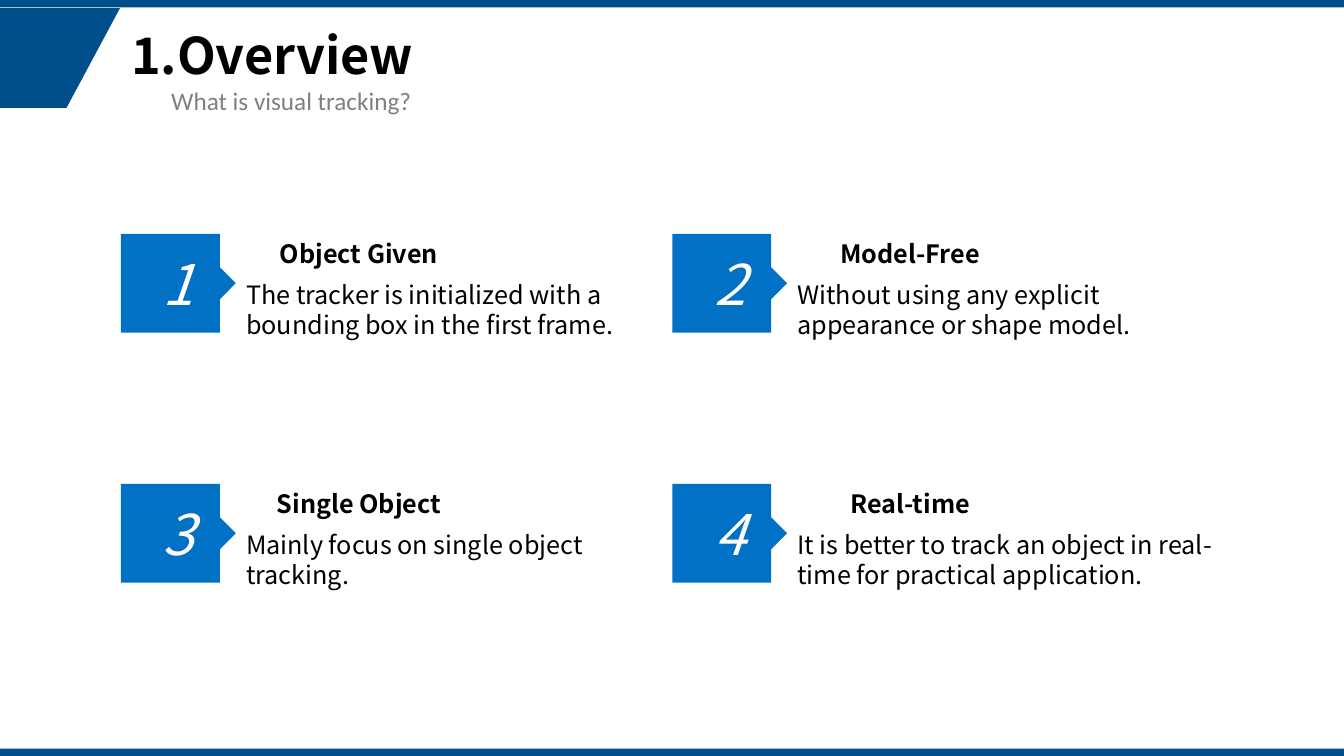
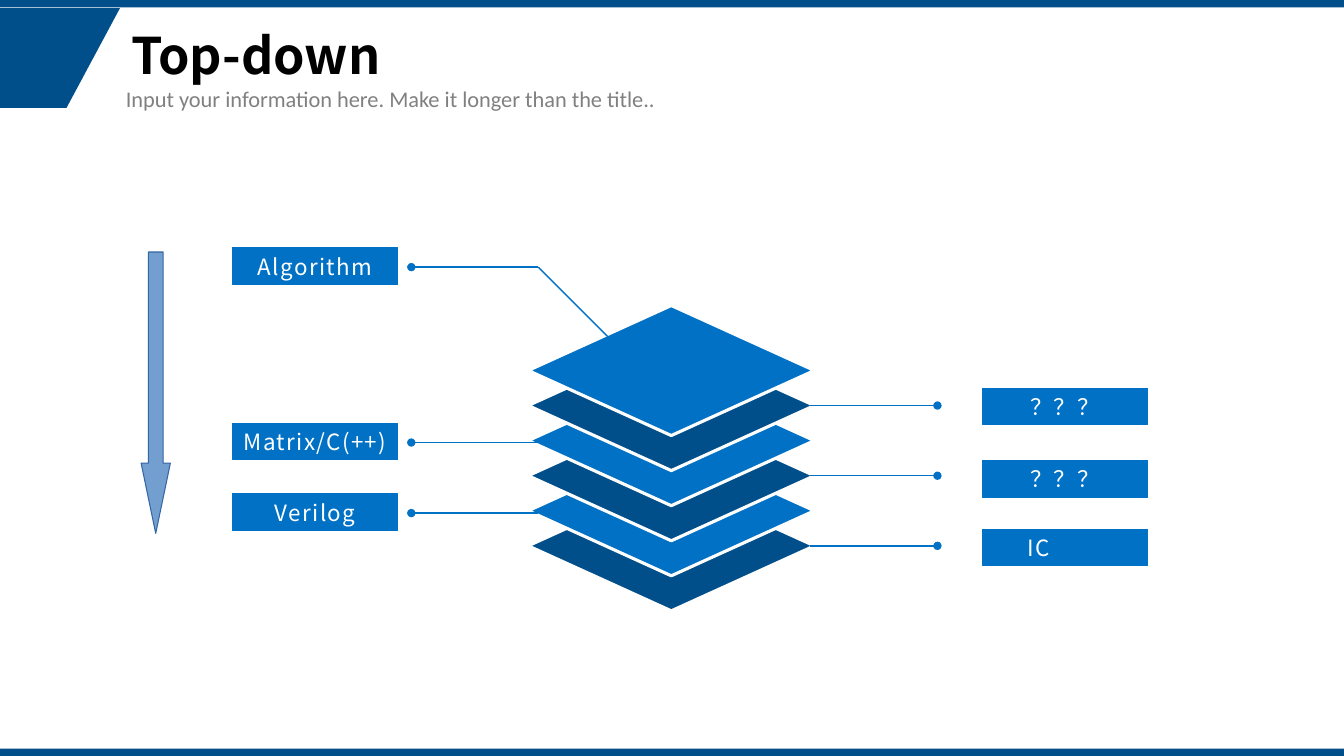
from pptx import Presentation
from pptx.dml.color import RGBColor
from pptx.enum.shapes import MSO_CONNECTOR, MSO_SHAPE
from pptx.enum.text import MSO_ANCHOR, PP_ALIGN
from pptx.oxml.ns import qn
from pptx.util import Pt
from lxml import etree

RECTANGLE, DIAMOND = MSO_SHAPE.RECTANGLE, MSO_SHAPE.FLOWCHART_DECISION
DOWN_ARROW, STRAIGHT = MSO_SHAPE.DOWN_ARROW, MSO_CONNECTOR.STRAIGHT
TOP, MIDDLE = MSO_ANCHOR.TOP, MSO_ANCHOR.MIDDLE
LEFT, CENTER = PP_ALIGN.LEFT, PP_ALIGN.CENTER

# Content
OVERVIEW = {"title": "1.Overview", "subtitle": "What is visual tracking?",
            "subtitle_left": 115.2, "subtitle_size": 18}
TOP_DOWN = {"title": "Top-down",
            "subtitle": "Input your information here. Make it longer than the title..",
            "subtitle_left": 82.8, "subtitle_size": 16}
FEATURES = [
    ("Object Given", "The tracker is initialized with a bounding box in the first frame."),
    ("Model-Free", "Without using any explicit appearance or shape model."),
    ("Single Object", "Mainly focus on single object tracking."),
    ("Real-time", "It is better to track an object in real-time for practical application."),
]
# Label, box top, line height on the page
LEFT_LABELS = [("Algorithm", 177.1, 190.8), ("Matrix/C(++)", 302.4, 316.1),
               ("Verilog", 352.8, 366.5)]
# Label, box top, layer it belongs to, text indent (None centres the text)
RIGHT_LABELS = [("？？？", 277.2, 1, None), ("？？？", 329, 3, None), ("IC", 378, 5, 32)]

# Shared style
COLORS = {"dark": "004F8A", "blue": "0171C5", "white": "FFFFFF", "black": "000000",
          "grey": "808080", "arrow": "729FCF", "arrow_line": "3465A4"}
SANS, LATIN = "Noto Sans CJK SC", "Calibri"
WIDTH, HEIGHT, BAND = 960, 540, 5.3
TITLE = {"name": SANS, "size": Pt(36), "bold": True}
BADGE = {"name": SANS, "size": Pt(40), "italic": True}
HEADING = {"name": SANS, "size": Pt(18), "bold": True}
BODY = {"name": SANS, "size": Pt(18), "bold": False}
LABEL = {"name": SANS, "size": Pt(16), "bold": False}

# Geometry
FEATURE_LEFTS, FEATURE_TOPS = (86.4, 480.2), (167, 345.6)
BADGE_OUTLINE = [(0, 0), (70.6, 0), (70.6, 23.8), (82, 35.3), (70.6, 46.8),
                 (70.6, 70.6), (0, 70.6)]
CORNER_OUTLINE = [(0, 0), (85.7, 0), (47.5, 71.3), (0, 71.3)]
LAYER_LEFT, LAYER_TOP, LAYER_STEP = 377.3, 218.2, 25.05
LAYER_WIDTH, LAYER_HEIGHT, LAYER_COUNT = 204.5, 92.9, 6
LABEL_WIDTH, LABEL_HEIGHT = 117.6, 26.2
LEFT_LABEL, RIGHT_LABEL = 166.3, 702
LEFT_DOT, LEFT_END, SLANT = 293.8, 384.5, 72
RIGHT_END, RIGHT_DOT = 578.9, 669.6


def rgb(color):
    return RGBColor.from_string(COLORS[color])


def paint(shape, fill, line=None, weight=0.75):
    shape.shadow.inherit = False
    shape.fill.solid()
    shape.fill.fore_color.rgb = rgb(fill)
    if line:
        shape.line.color.rgb = rgb(line)
        shape.line.width = Pt(weight)
    else:
        shape.line.fill.background()
    return shape


def write(shape, text, style, color="black", align=LEFT, anchor=TOP):
    frame = shape.text_frame
    frame.word_wrap, frame.vertical_anchor = True, anchor
    para = frame.paragraphs[0]
    para.alignment = align
    span = para.add_run()
    span.text = text
    for name, value in style.items():
        setattr(span.font, name, value)
    span.font.color.rgb = rgb(color)
    east_asian = etree.SubElement(span.font._element, qn("a:ea"))
    east_asian.set("typeface", style["name"])
    return span


def add_box(page, kind, left, top, width, height, fill, line=None, weight=0.75):
    shape = page.shapes.add_shape(kind, Pt(left), Pt(top), Pt(width), Pt(height))
    return paint(shape, fill, line, weight)


def add_outline(page, left, top, points, fill):
    corners = [(Pt(x), Pt(y)) for x, y in points]
    builder = page.shapes.build_freeform(*corners[0])
    builder.add_line_segments(corners[1:], close=True)
    return paint(builder.convert_to_shape(Pt(left), Pt(top)), fill)


def add_text(page, left, top, width, height, text, style, **options):
    box = page.shapes.add_textbox(Pt(left), Pt(top), Pt(width), Pt(height))
    write(box, text, style, **options)


def add_line(page, start, end, dot=True):
    line = page.shapes.add_connector(STRAIGHT, *(Pt(value) for value in start + end))
    line.line.color.rgb = rgb("blue")
    line.line.width = Pt(1)
    if dot:
        etree.SubElement(line.line._get_or_add_ln(), qn("a:tailEnd")).set("type", "oval")
    etree.SubElement(line._element.spPr, qn("a:effectLst"))


def add_label(page, left, top, text, indent=None):
    box = add_box(page, RECTANGLE, left, top, LABEL_WIDTH, LABEL_HEIGHT, "blue", "blue")
    box.text_frame.margin_left = Pt(indent or 0)
    box.text_frame.margin_right = 0
    span = write(box, text, LABEL, "white", LEFT if indent else CENTER)
    span.font._element.set("spc", "100")


def decorate_layout(page, layout):
    """Draw the bands and corner once and hand them to the layout."""
    parts = [add_outline(page, 0, 5.8, CORNER_OUTLINE, "dark")]
    parts += [add_box(page, RECTANGLE, 0, top, WIDTH, BAND, "dark")
              for top in (0, HEIGHT - BAND)]
    for index, part in enumerate(parts):
        layout.shapes.element.insert(2 + index, part.element)


def add_header(page, header):
    title = page.shapes.title
    title.left, title.top, title.width, title.height = Pt(86.4), Pt(5.8), Pt(807), Pt(71.3)
    write(title, header["title"], TITLE, anchor=MIDDLE)
    title.text_frame.paragraphs[0].line_spacing = 0.9
    style = {"name": LATIN, "size": Pt(header["subtitle_size"])}
    add_text(page, header["subtitle_left"], 57.6, 561, 28, header["subtitle"], style,
             color="grey")


def build_overview(page):
    add_header(page, OVERVIEW)
    for index, (heading, body) in enumerate(FEATURES):
        left, top = FEATURE_LEFTS[index % 2], FEATURE_TOPS[index // 2]
        badge = add_outline(page, left, top, BADGE_OUTLINE, "blue")
        write(badge, str(index + 1), BADGE, "white", CENTER, MIDDLE)
        add_text(page, left + 95, top, 150, 28, heading, HEADING, align=CENTER)
        add_text(page, left + 82.3, top + 28.8, 311, 49.7, body, BODY)


def build_top_down(page):
    add_header(page, TOP_DOWN)

    # Stack of layers, lowest first
    for index in reversed(range(LAYER_COUNT)):
        add_box(page, DIAMOND, LAYER_LEFT, LAYER_TOP + index * LAYER_STEP,
                LAYER_WIDTH, LAYER_HEIGHT, "dark" if index % 2 else "blue", "white", 2.25)

    # Labels and their lines
    bend = (LEFT_END, LEFT_LABELS[0][2])
    add_line(page, bend, (bend[0] + SLANT, bend[1] + SLANT), dot=False)
    for text, top, level in LEFT_LABELS:
        add_line(page, (LEFT_END, level), (LEFT_DOT, level))
        add_label(page, LEFT_LABEL, top, text)
    for text, top, index, indent in RIGHT_LABELS:
        level = LAYER_TOP + index * LAYER_STEP + LAYER_HEIGHT / 2
        add_line(page, (RIGHT_END, level), (RIGHT_DOT, level))
        add_label(page, RIGHT_LABEL, top, text, indent)

    # Direction arrow
    arrow = add_box(page, DOWN_ARROW, 100.8, 180, 20.9, 201, "arrow", "arrow_line")
    arrow.adjustments[0], arrow.adjustments[1] = 0.5, 2.4


def main():
    deck = Presentation()
    deck.slide_width, deck.slide_height = Pt(WIDTH), Pt(HEIGHT)
    layout = deck.slide_layouts[5]
    pages = [deck.slides.add_slide(layout) for _ in range(2)]
    decorate_layout(pages[0], layout)
    build_overview(pages[0])
    build_top_down(pages[1])
    deck.save("out.pptx")


if __name__ == "__main__":
    main()
